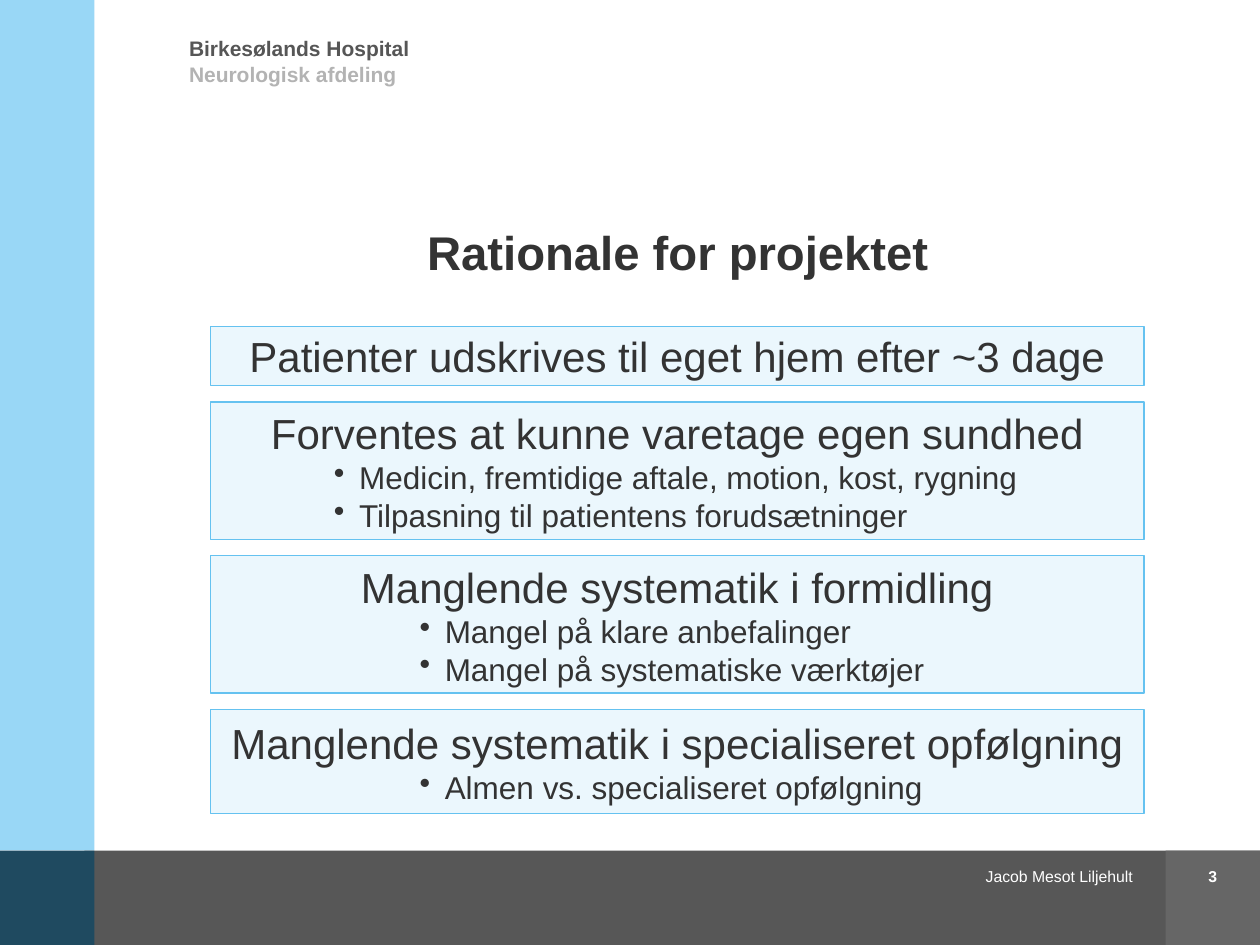
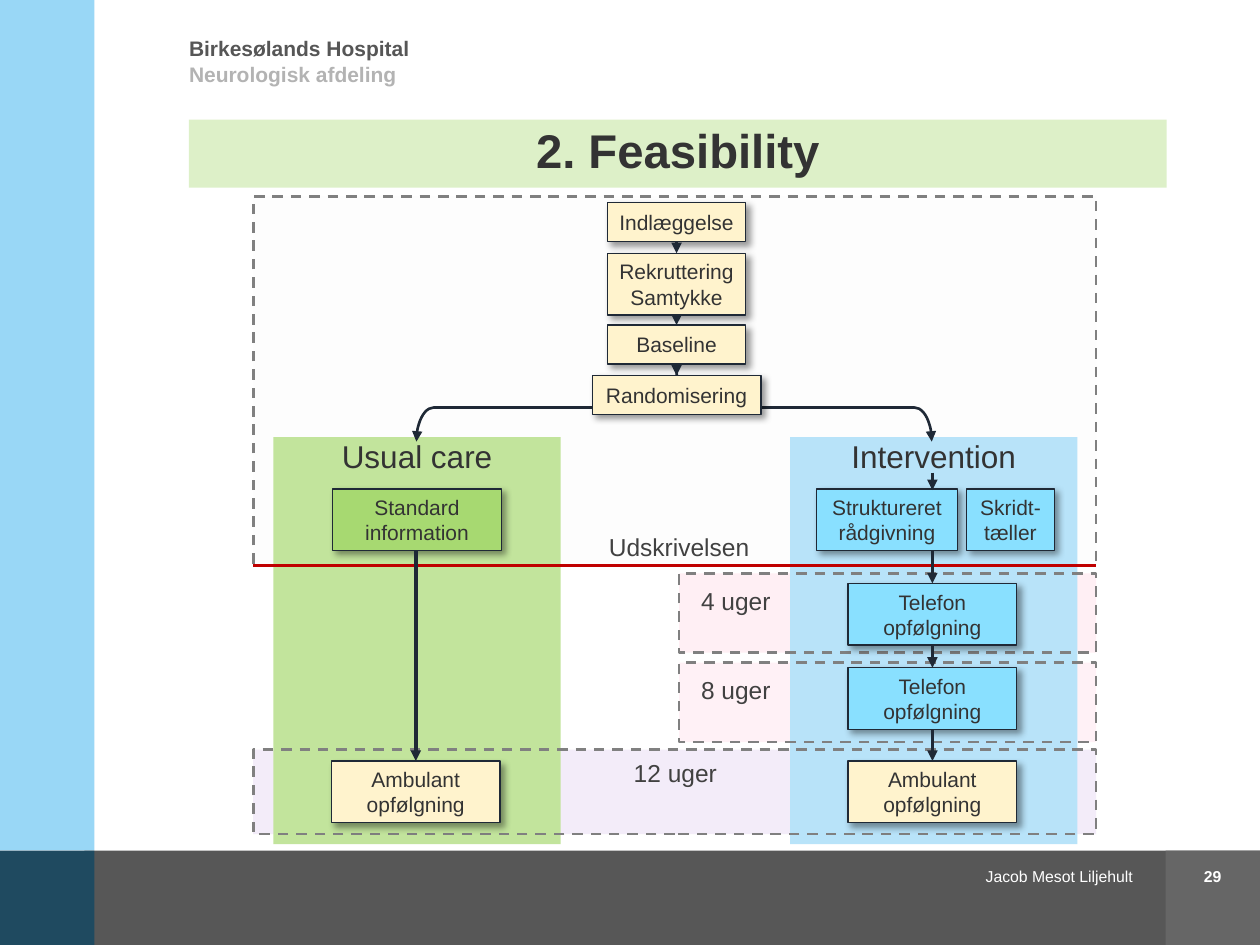
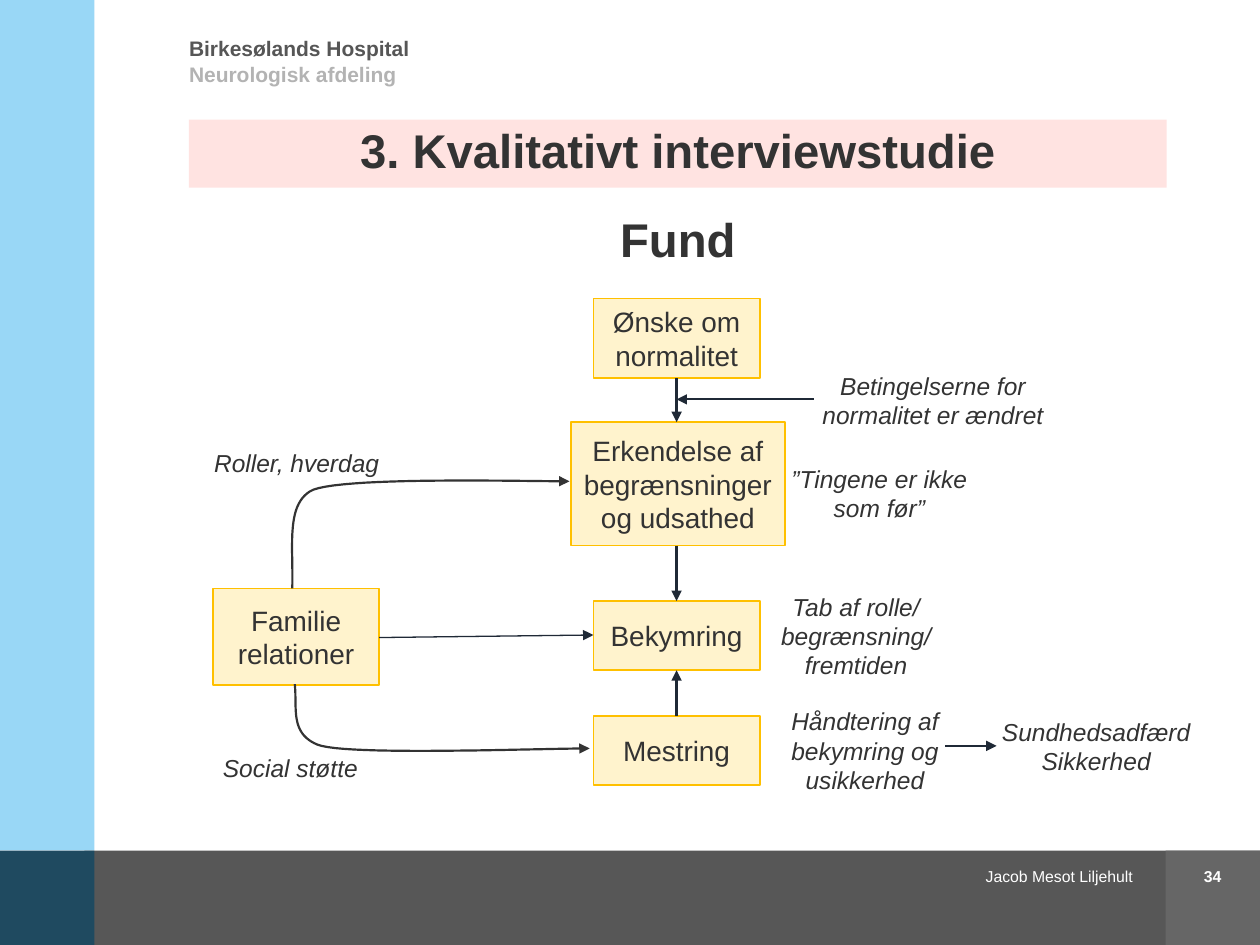
from dataclasses import dataclass
from itertools import pairwise

import pptx
import pptx.dml.color
import pptx.enum.dml
import pptx.enum.shapes
import pptx.enum.text
import pptx.oxml
import pptx.oxml.ns
import pptx.util
from pptx.util import Inches

COLORS = {
    "text": "333333", "label": "414141", "hospital": "565656", "department": "B3B3B3",
    "white": "FFFFFF", "footer": "575757", "number": "666666", "side": "99D7F6",
    "corner": "1F4A60", "card": "EBF7FD", "card_edge": "65C2F0", "cream": "FFF3CD",
    "gold": "FFC000", "ink": "1F2936", "dash": "808080", "red": "C00000",
    "green_title": "DDF0C8", "pink_title": "FFE3E1", "usual": "C2E49C",
    "usual_step": "A7D971", "intervention": "B8E3F9", "intervention_step": "89E0FF",
    "lilac": "ECDFF5", "rose": "FFE1EB", "mist": "F2F2F2",
}
ALIGN = pptx.enum.text.PP_ALIGN
ANCHOR = pptx.enum.text.MSO_ANCHOR
SHAPE = pptx.enum.shapes.MSO_SHAPE
FONT = "Arial"


@dataclass(frozen=True)
class Area:
    left: float
    top: float
    width: float
    height: float

    @property
    def bottom(self) -> float:
        return self.top + self.height

    @property
    def center(self) -> float:
        return self.left + self.width / 2

    def inches(self) -> tuple:
        return tuple(Inches(v) for v in (self.left, self.top, self.width, self.height))


@dataclass(frozen=True)
class Step:
    area: Area
    text: str
    fill: str = "cream"


@dataclass(frozen=True)
class Card:
    top: float
    height: float
    heading: str
    points: str = ""
    indent: float = 0


@dataclass(frozen=True)
class Window:
    area: Area
    tint: str
    alpha: int
    text: str
    label_left: float
    label_top: float


def rgb(name: str) -> pptx.dml.color.RGBColor:
    return pptx.dml.color.RGBColor.from_string(COLORS[name])


def add_xml(parent, xml: str) -> None:
    head, rest = xml.split(" ", 1)
    parent.append(pptx.oxml.parse_xml(f"{head} {pptx.oxml.ns.nsdecls('a')} {rest}"))


def write(frame, text: str, *, size=12, color="text", bold=False, italic=False,
          align=ALIGN.CENTER, anchor=ANCHOR.MIDDLE, spacing=None, bullet=None) -> None:
    frame.word_wrap = True
    frame.vertical_anchor = anchor
    frame.margin_left = frame.margin_right = frame.margin_top = frame.margin_bottom = 0
    for line in text.split("\n"):
        first = frame.paragraphs[0]
        paragraph = frame.add_paragraph() if first.runs else first
        paragraph.alignment = align
        if spacing:
            paragraph.line_spacing = spacing
        if bullet:
            properties = paragraph._p.get_or_add_pPr()
            properties.set("marL", str(Inches(bullet)))
            properties.set("indent", str(Inches(-0.2)))
            add_xml(properties, '<a:buChar char="•"/>')
        run = paragraph.add_run()
        run.text = line
        run.font.name = FONT
        run.font.size = pptx.util.Pt(size)
        run.font.bold = bold
        run.font.italic = italic
        run.font.color.rgb = rgb(color)


def label(slide, area: Area, text: str, **style) -> None:
    write(slide.shapes.add_textbox(*area.inches()).text_frame, text, **style)


def outline(shape, color: str, width: float, head=False, tail=False):
    shape.line.color.rgb = rgb(color)
    shape.line.width = pptx.util.Pt(width)
    ln = shape.element.spPr.find(pptx.oxml.ns.qn("a:ln"))
    for end, wanted in (("headEnd", head), ("tailEnd", tail)):
        if wanted:
            add_xml(ln, f'<a:{end} type="triangle"/>')


def block(slide, area: Area, fill=None, alpha=100, edge=None, width=0.75,
          dashed=False, shadow=False):
    shape = slide.shapes.add_shape(SHAPE.RECTANGLE, *area.inches())
    shape.shadow.inherit = False
    if fill:
        shape.fill.solid()
        shape.fill.fore_color.rgb = rgb(fill)
        if alpha < 100:
            color = shape.element.spPr.find(".//" + pptx.oxml.ns.qn("a:srgbClr"))
            add_xml(color, f'<a:alpha val="{alpha * 1000}"/>')
    else:
        shape.fill.background()
    if edge:
        outline(shape, edge, width)
        if dashed:
            shape.line.dash_style = pptx.enum.dml.MSO_LINE.DASH
    else:
        shape.line.fill.background()
    if shadow:
        effects = shape.element.spPr.find(pptx.oxml.ns.qn("a:effectLst"))
        add_xml(effects, '<a:outerShdw blurRad="50800" dist="38100" dir="2700000" '
                'algn="tl" rotWithShape="0"><a:srgbClr val="000000">'
                '<a:alpha val="40000"/></a:srgbClr></a:outerShdw>')
    return shape


def line(slide, start: tuple, end: tuple, color="ink", width=1.25, arrow=True) -> None:
    connector = slide.shapes.add_connector(
        pptx.enum.shapes.MSO_CONNECTOR.STRAIGHT, *(Inches(v) for v in (*start, *end)))
    outline(connector, color, width, tail=arrow)
    add_xml(connector.element.spPr, "<a:effectLst />")


def curve(slide, start: tuple, *segments: tuple) -> None:
    points, origin = [], start
    for a, b, end in segments:
        for i in range(1, 25):
            t = i / 24
            weights = ((1 - t) ** 3, 3 * t * (1 - t) ** 2, 3 * t * t * (1 - t), t ** 3)
            points.append(tuple(
                Inches(sum(w * p[axis] for w, p in zip(weights, (origin, a, b, end))))
                for axis in (0, 1)))
        origin = end
    builder = slide.shapes.build_freeform(Inches(start[0]), Inches(start[1]))
    builder.add_line_segments(points, close=False)
    path = builder.convert_to_shape()
    path.shadow.inherit = False
    path.fill.background()
    outline(path, "text", 1.25, tail=True)


def start_slide(deck, number: int, title: str, title_fill=None):
    slide = deck.slides.add_slide(deck.slide_layouts[6])
    for area, fill in (
        (Area(0.67, 6.75, 9.33, 0.75), "footer"),
        (Area(9.25, 6.75, 0.75, 0.75), "number"),
        (Area(0, 0, 0.75, 6.75), "side"),
        (Area(0, 6.75, 0.75, 0.75), "corner"),
    ):
        block(slide, area, fill)
    header = dict(bold=True, align=ALIGN.LEFT, anchor=ANCHOR.TOP)
    label(slide, Area(1.5, 0.28, 3.61, 0.24), "Birkesølands Hospital", color="hospital", **header)
    label(slide, Area(1.5, 0.49, 3.62, 0.46), "Neurologisk afdeling", color="department", **header)
    footer = dict(size=9, color="white", anchor=ANCHOR.TOP)
    label(slide, Area(6.47, 6.88, 2.52, 0.15), "Jacob Mesot Liljehult", align=ALIGN.RIGHT, **footer)
    label(slide, Area(9.25, 6.88, 0.75, 0.16), str(number), bold=True, **footer)
    heading = dict(size=27, bold=True, spacing=0.85)
    if title_fill:
        band = block(slide, Area(1.5, 0.95, 7.76, 0.54), title_fill)
        write(band.text_frame, title, **heading)
    else:
        label(slide, Area(1.5, 0.95, 7.76, 1.27), title, anchor=ANCHOR.BOTTOM, **heading)
    return slide


def build_rationale(deck) -> None:
    slide = start_slide(deck, 3, "Rationale for projektet")
    for card in (
        Card(2.59, 0.47, "Patienter udskrives til eget hjem efter ~3 dage"),
        Card(3.19, 1.09, "Forventes at kunne varetage egen sundhed",
             "Medicin, fremtidige aftale, motion, kost, rygning\n"
             "Tilpasning til patientens forudsætninger", 1.18),
        Card(4.41, 1.09, "Manglende systematik i formidling",
             "Mangel på klare anbefalinger\nMangel på systematiske værktøjer", 1.86),
        Card(5.63, 0.83, "Manglende systematik i specialiseret opfølgning",
             "Almen vs. specialiseret opfølgning", 1.86),
    ):
        panel = block(slide, Area(1.67, card.top, 7.41, card.height), "card", edge="card_edge")
        write(panel.text_frame, card.heading, size=24)
        if card.points:
            write(panel.text_frame, card.points, size=18, align=ALIGN.LEFT, bullet=card.indent)


def build_feasibility(deck) -> None:
    slide = start_slide(deck, 29, "2. Feasibility", "green_title")
    windows = (
        Window(Area(2.01, 5.95, 6.69, 0.67), "lilac", 59, "12 uger", 4.7, 6.02),
        Window(Area(5.39, 5.26, 3.31, 0.63), "rose", 44, "8 uger", 5.18, 5.36),
        Window(Area(5.39, 4.55, 3.31, 0.63), "rose", 53, "4 uger", 5.18, 4.65),
    )
    dashes = dict(edge="dash", width=1.5, dashed=True)
    for window in windows:
        block(slide, window.area, window.tint, window.alpha)
    block(slide, Area(2.01, 1.56, 6.69, 2.93), "mist", 14, **dashes)
    for left, fill, name in ((2.17, "usual", "Usual care"), (6.27, "intervention", "Intervention")):
        arm = block(slide, Area(left, 3.47, 2.28, 3.23), fill)
        write(arm.text_frame, name, size=18, anchor=ANCHOR.TOP)

    split = slide.shapes.add_shape(SHAPE.LEFT_BRACE, *Area(5.08, 1.19, 0.54, 4.09).inches())
    split.rotation = 90
    split.adjustments[0], split.adjustments[1] = 0.251, 0.495
    split.shadow.inherit = False
    split.fill.background()
    outline(split, "ink", 1.5, head=True, tail=True)

    line(slide, (2.01, 4.49), (8.7, 4.49), "red", 1.5, arrow=False)
    caption = dict(size=14, color="label", anchor=ANCHOR.TOP)
    label(slide, Area(4.73, 4.22, 1.32, 0.26), "Udskrivelsen", **caption)
    for window in windows:
        block(slide, window.area, **dashes)
        label(slide, Area(window.label_left, window.label_top, 1.32, 0.26), window.text, **caption)

    enrolment = (
        Step(Area(4.82, 1.61, 1.1, 0.31), "Indlæggelse"),
        Step(Area(4.82, 2.01, 1.1, 0.49), "Rekruttering\nSamtykke"),
        Step(Area(4.82, 2.58, 1.1, 0.31), "Baseline"),
        Step(Area(4.7, 2.98, 1.34, 0.31), "Randomisering"),
    )
    usual_care = (
        Step(Area(2.64, 3.88, 1.34, 0.49), "Standard information", "usual_step"),
        Step(Area(2.63, 6.04, 1.34, 0.49), "Ambulant opfølgning"),
    )
    intervention = (
        Step(Area(6.48, 3.88, 1.12, 0.49), "Struktureret\nrådgivning", "intervention_step"),
        Step(Area(6.73, 4.63, 1.34, 0.49), "Telefon opfølgning", "intervention_step"),
        Step(Area(6.73, 5.3, 1.34, 0.49), "Telefon opfølgning", "intervention_step"),
        Step(Area(6.73, 6.04, 1.34, 0.49), "Ambulant opfølgning"),
    )
    pedometer = Step(Area(7.67, 3.88, 0.7, 0.49), "Skridt-\ntæller", "intervention_step")
    for step in (*enrolment, *usual_care, *intervention, pedometer):
        card = block(slide, step.area, step.fill, edge="ink", shadow=True)
        write(card.text_frame, step.text)
    for flow in (enrolment, usual_care, intervention):
        axis = flow[-1].area.center
        for before, after in pairwise(flow):
            line(slide, (axis, before.area.bottom), (axis, after.area.top), width=2)
    line(slide, (7.4, 3.75), (7.4, 3.89), width=2)


def build_findings(deck) -> None:
    slide = start_slide(deck, 34, "3. Kvalitativt interviewstudie", "pink_title")
    label(slide, Area(1.5, 1.66, 7.76, 0.54), "Fund", size=27, bold=True, spacing=0.85)
    wish = Step(Area(4.71, 2.37, 1.32, 0.63), "Ønske om normalitet")
    insight = Step(Area(4.53, 3.35, 1.7, 0.98), "Erkendelse af begrænsninger og udsathed")
    worry = Step(Area(4.71, 4.77, 1.32, 0.55), "Bekymring")
    coping = Step(Area(4.71, 5.68, 1.32, 0.55), "Mestring")
    family = Step(Area(1.69, 4.67, 1.32, 0.77), "Familie relationer")
    for theme in (wish, insight, worry, coping, family):
        card = block(slide, theme.area, theme.fill, edge="gold", width=1)
        write(card.text_frame, theme.text, size=16)

    curve(slide, (2.32, 4.67),
          ((2.33, 4.34), (2.27, 4.02), (2.46, 3.9)),
          ((2.64, 3.78), (4.16, 3.82), (4.52, 3.82)))
    curve(slide, (2.34, 5.43),
          ((2.36, 5.62), (2.3, 5.82), (2.52, 5.91)),
          ((2.74, 6), (4.29, 5.94), (4.68, 5.94)))
    axis = wish.area.center
    for start, end in (
        ((axis, wish.area.bottom), (axis, insight.area.top)),
        ((axis, insight.area.bottom), (axis, worry.area.top)),
        ((axis, coping.area.top), (axis, worry.area.bottom)),
        ((6.46, 3.17), (axis, 3.17)),
        ((7.5, 5.92), (7.91, 5.92)),
    ):
        line(slide, start, end)
    line(slide, (3.01, 5.06), (4.71, 5.04), width=0.75)

    for area, remark in (
        (Area(6.46, 2.86, 1.89, 0.63), "Betingelserne for normalitet er ændret"),
        (Area(6.28, 3.6, 1.4, 0.63), "”Tingene er ikke som før”"),
        (Area(5.85, 4.73, 1.89, 0.63), "Tab af rolle/ begrænsning/ fremtiden"),
        (Area(5.92, 5.64, 1.89, 0.63), "Håndtering af bekymring og usikkerhed"),
        (Area(7.91, 5.61, 1.58, 0.63), "Sundhedsadfærd\nSikkerhed"),
        (Area(1.41, 3.53, 1.89, 0.28), "Roller, hverdag"),
        (Area(1.36, 5.95, 1.89, 0.28), "Social støtte"),
    ):
        label(slide, area, remark, size=14, italic=True)


def main() -> None:
    deck = pptx.Presentation()
    deck.slide_width, deck.slide_height = Inches(10), Inches(7.5)
    build_rationale(deck)
    build_feasibility(deck)
    build_findings(deck)
    deck.save("out.pptx")


if __name__ == "__main__":
    main()
